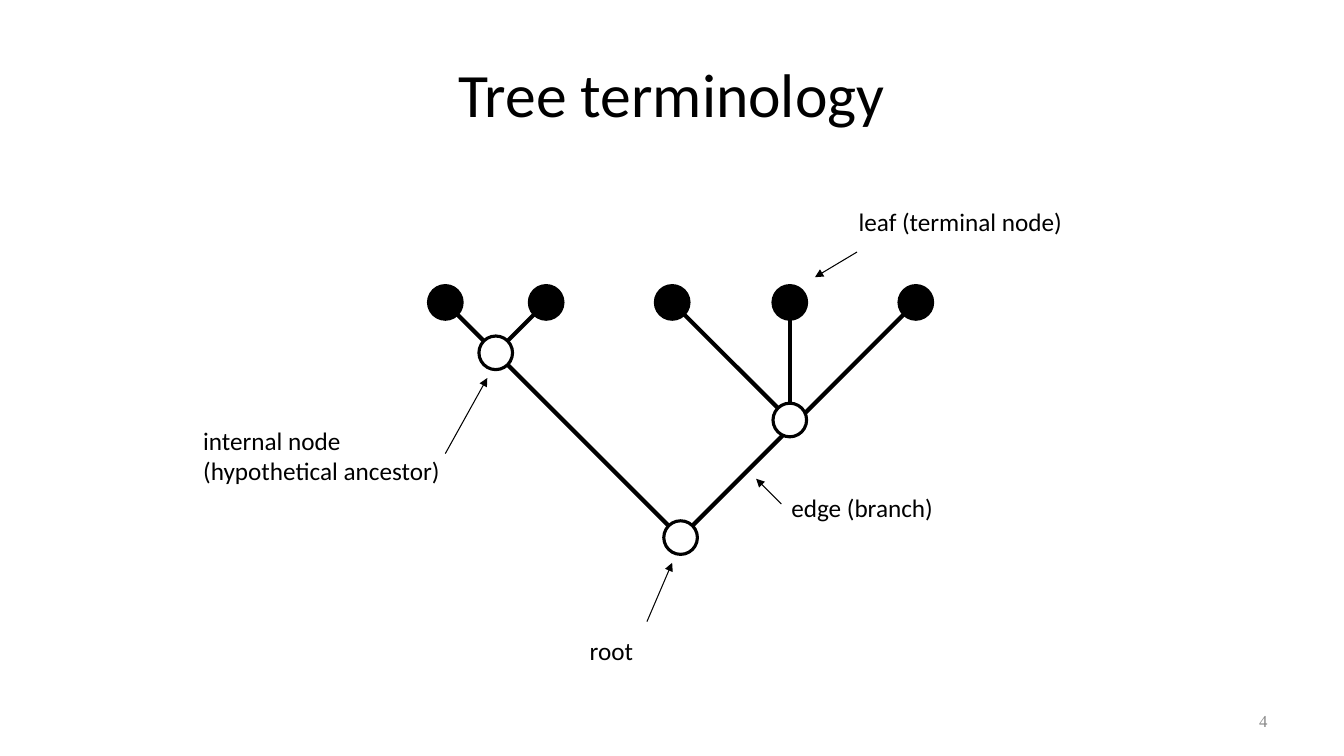
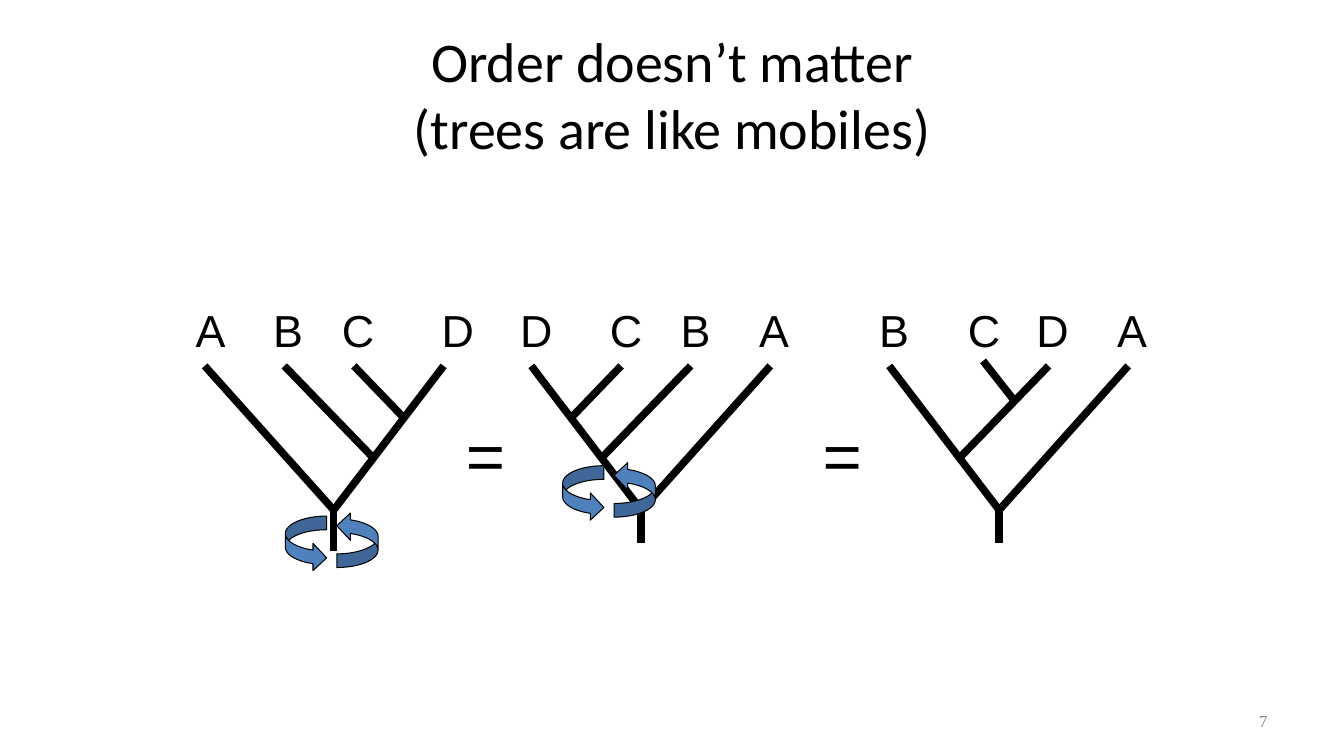
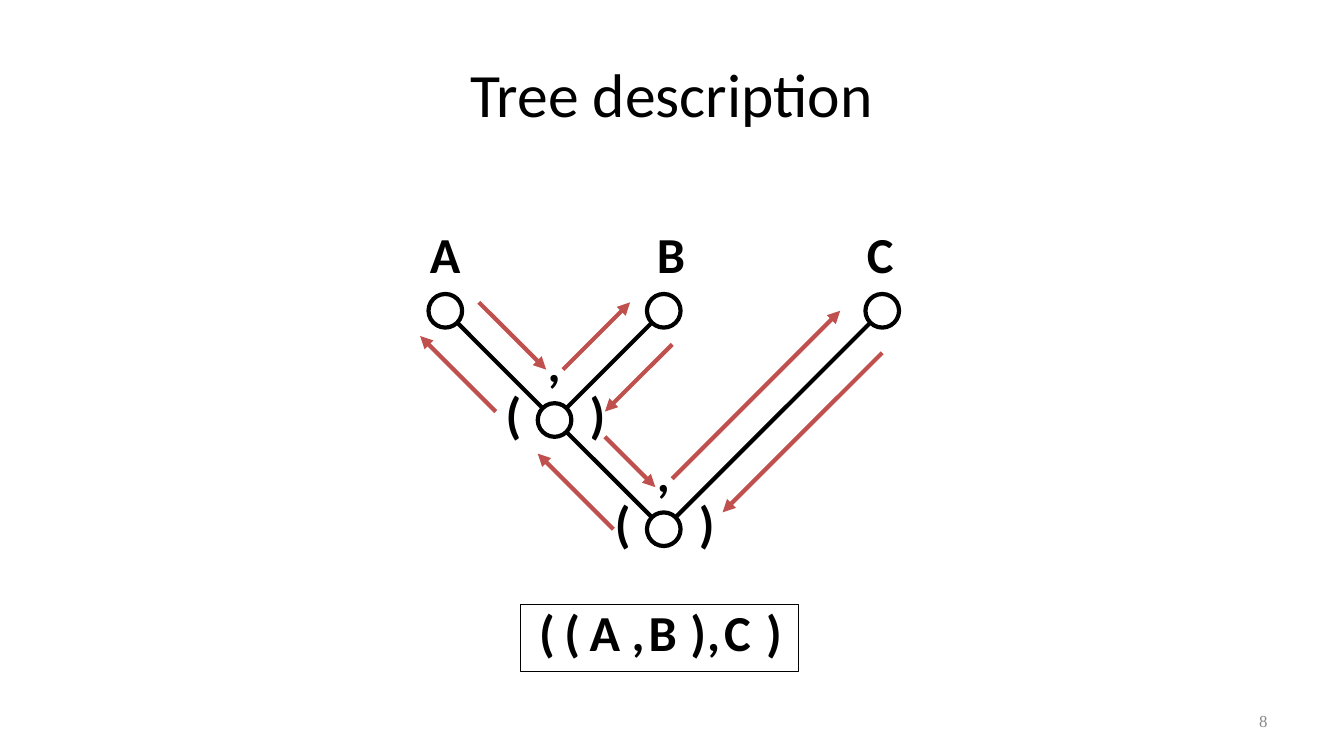
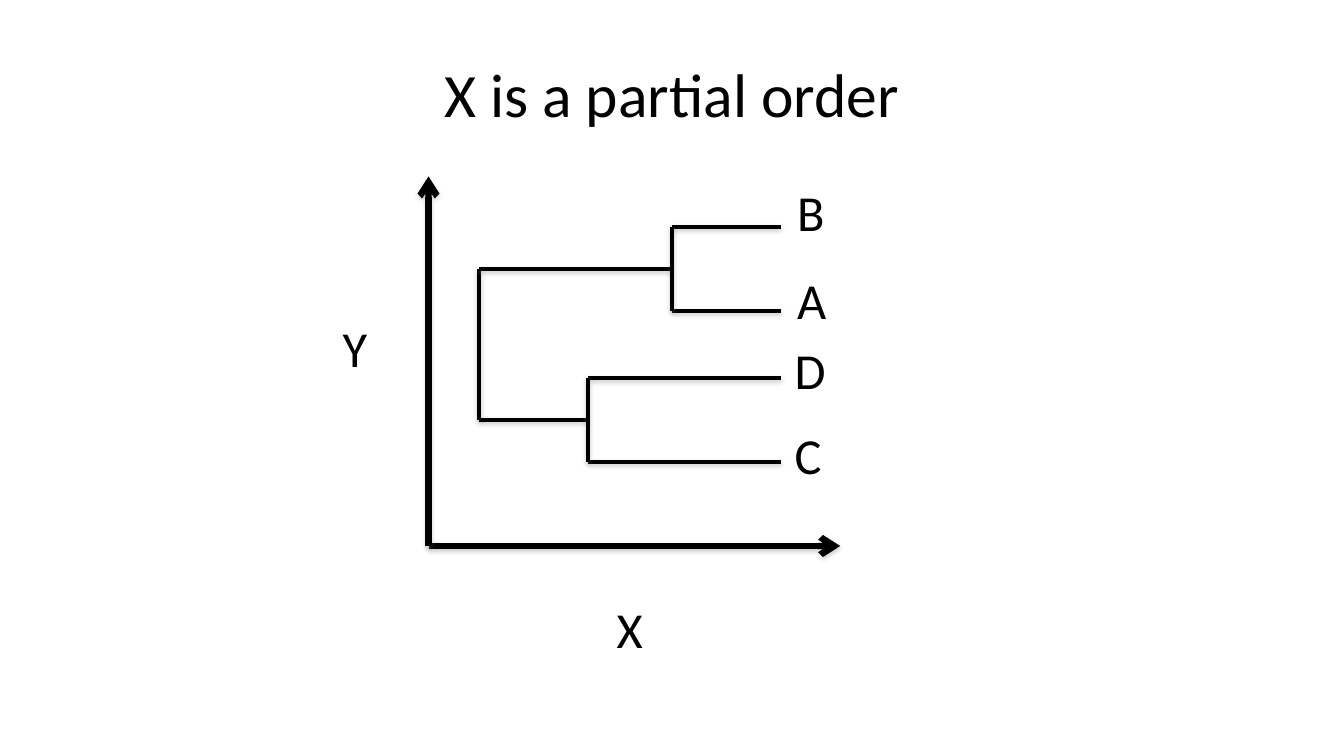
from dataclasses import dataclass

from lxml.etree import SubElement
from pptx import Presentation
from pptx.dml.color import RGBColor as Color
from pptx.enum.shapes import MSO_CONNECTOR as Connector, MSO_SHAPE as Shape
from pptx.enum.text import MSO_ANCHOR as Anchor, MSO_AUTO_SIZE as AutoSize, PP_ALIGN as Align
from pptx.oxml.ns import qn
from pptx.util import Inches, Pt


@dataclass(frozen=True)
class TextStyle:
    """Type settings of one kind of text."""
    font: str
    size: int
    color: Color
    bold: bool = False
    inset: float = 1


@dataclass(frozen=True)
class Theme:
    """Colours, type styles and line weights of the deck."""
    black = Color(0x00, 0x00, 0x00)
    white = Color(0xFF, 0xFF, 0xFF)
    red = Color(0xC0, 0x50, 0x4D)
    blue = Color(0x4F, 0x81, 0xBD)
    gray = Color(0x89, 0x89, 0x89)
    title = TextStyle("Calibri", 44, black)
    long_title = TextStyle("Calibri", 40, black)
    number = TextStyle("Times New Roman", 12, gray)
    caption = TextStyle("Calibri", 18, black)
    letter = TextStyle("Calibri", 36, black)
    symbol = TextStyle("Calibri", 36, black, bold=True)
    taxon = TextStyle("Arial", 32, black, inset=0)
    equals = TextStyle("Arial", 48, black, inset=0)
    hairline = 0.75
    outline = 2.25
    edge = 3
    axis = 4.5
    branch = 5.38


@dataclass(frozen=True)
class Grid:
    """Square grid on a slide, with its origin and cell size in inches."""
    slide: object
    left: float
    top: float
    unit: float

    def point(self, column, row):
        """Return the slide position of a grid point."""
        return Inches(self.left + column * self.unit), Inches(self.top + row * self.unit)

    def span(self, cells):
        """Return the length of a number of cells."""
        return Inches(cells * self.unit)

    def shifted(self, column, row):
        """Return a grid of the same cell size with its origin at a grid point."""
        return Grid(self.slide, self.left + column * self.unit,
                    self.top + row * self.unit, self.unit)


THEME = Theme()
WIDTH, HEIGHT = 13.33, 7.5
CELL = HEIGHT / 90
LETTER_WIDTHS = {"A": 0.5, "B": 0.48, "C": 0.47, "D": 0.51, "X": 0.47, "Y": 0.45,
                 ",": 0.33, "(": 0.37, ")": 0.37}
TAXON_WIDTHS = {"A": 0.3, "B": 0.3, "C": 0.32, "D": 0.32}


def format_text(text_frame, text, style, align=None):
    """Write text into a frame in one style."""
    text_frame.text = text
    for paragraph in text_frame.paragraphs:
        paragraph.alignment = align
        font = paragraph.font
        font.name, font.size, font.bold = style.font, Pt(style.size), style.bold
        font.color.rgb = style.color


def add_label(grid, text, at, width, style):
    """Place unwrapped text with its top left corner at a grid point."""
    lines = text.count("\n") + 1
    height = lines * style.size * 1.21 / 72 + 0.1 * style.inset
    box = grid.slide.shapes.add_textbox(*grid.point(*at), Inches(width), Inches(height))
    frame = box.text_frame
    frame.word_wrap = False
    frame.auto_size = AutoSize.SHAPE_TO_FIT_TEXT
    frame.margin_left = frame.margin_right = Inches(0.1 * style.inset)
    frame.margin_top = frame.margin_bottom = Inches(0.05 * style.inset)
    format_text(frame, text, style)


def add_letter(grid, text, at, style):
    """Place one letter or sign as wide as its glyph needs."""
    add_label(grid, text, at, LETTER_WIDTHS[text], style)


def add_line(grid, start, end, weight, color=THEME.black, arrow=None, shadow=False):
    """Draw a line between grid points, with an optional arrowhead and shadow."""
    line = grid.slide.shapes.add_connector(
        Connector.STRAIGHT, *grid.point(*start), *grid.point(*end))
    line.line.color.rgb = color
    line.line.width = Pt(weight)
    properties = line.element.spPr
    if arrow:
        SubElement(properties.find(qn("a:ln")), qn("a:tailEnd"), type=arrow)
    effects = SubElement(properties, qn("a:effectLst"))
    if shadow:
        outer = SubElement(effects, qn("a:outerShdw"), blurRad="40000", dist="20000",
                           dir="5400000", rotWithShape="0")
        tone = SubElement(outer, qn("a:srgbClr"), val="808080")
        SubElement(tone, qn("a:alpha"), val="38000")


def add_shape(grid, preset, at, size, fill, weight):
    """Place a filled preset shape with a black outline."""
    shape = grid.slide.shapes.add_shape(
        preset, *grid.point(*at), *(grid.span(cells) for cells in size))
    shape.shadow.inherit = False
    shape.fill.solid()
    shape.fill.fore_color.rgb = fill
    shape.line.color.rgb = THEME.black
    shape.line.width = Pt(weight)
    return shape


def add_node(grid, center, fill, weight):
    """Draw a round tree node about a grid point."""
    column, row = center
    add_shape(grid, Shape.OVAL, (column - 2, row - 2), (4, 4), fill, weight)


def add_slide(presentation, title, style=THEME.title, number=None):
    """Add a slide with a centred title and an optional slide number."""
    slide = presentation.slides.add_slide(presentation.slide_layouts[5])
    heading = slide.shapes.title
    heading.left, heading.top = Inches(WIDTH * 0.05), Inches(HEIGHT * 0.04)
    heading.width, heading.height = Inches(WIDTH * 0.9), Inches(HEIGHT / 6)
    heading.text_frame.vertical_anchor = Anchor.MIDDLE
    format_text(heading.text_frame, title, style, Align.CENTER)
    if number:
        box = slide.shapes.add_textbox(Inches(9.56), Inches(6.95), Inches(3.11), Inches(0.4))
        box.text_frame.word_wrap = True
        box.text_frame.vertical_anchor = Anchor.MIDDLE
        format_text(box.text_frame, number, THEME.number, Align.RIGHT)
    return slide


def draw_terminology_tree(grid):
    """Draw the tree of black leaves and white inner nodes."""
    leaves = [(column, 0) for column in (0, 12, 27, 41, 56)]
    pair, triple, root = (6, 6), (41, 14), (28, 28)
    parents = (root, pair, triple, triple, root)
    for leaf, parent in zip(leaves, parents):
        add_line(grid, leaf, parent, THEME.edge)
    for leaf in leaves:
        add_node(grid, leaf, THEME.black, THEME.outline)
    for node in (pair, triple, root):
        add_node(grid, node, THEME.white, THEME.outline)


def draw_callouts(grid):
    """Name the parts of the tree, each with a thin arrow."""
    callouts = (
        ("edge (branch)", (40, 22), 1.63, (40, 24), (37, 21)),
        ("leaf (terminal node)", (48, -12), 2.25, (49, -6), (44, -3)),
        ("internal node\n(hypothetical ancestor)", (-30, 14), 2.58, (0, 18), (5, 9)),
        ("root", (16, 39), 0.64, (24, 38), (27, 31)),
    )
    for text, at, width, start, end in callouts:
        add_label(grid, text, at, width, THEME.caption)
        add_line(grid, start, end, THEME.hairline, arrow="triangle")


def draw_mobile(grid, branches, stem, taxa):
    """Draw a tree about its fork, with the taxa named over the tips."""
    for start, end in (*branches, ((0, 0), (0, stem))):
        add_line(grid, start, end, THEME.branch)
    for taxon, column in taxa:
        add_label(grid, taxon, (column, -20.6), TAXON_WIDTHS[taxon], THEME.taxon)


def draw_rotation(grid):
    """Draw two curved arrows that turn about a branch."""
    for at, angle in (((0, 0), 0), ((5.1, -0.4), 180)):
        arrow = add_shape(grid, Shape.CURVED_RIGHT_ARROW, at, (4.1, 5.5),
                          THEME.blue, THEME.hairline)
        arrow.rotation = angle
        for index, share in enumerate((0.33, 0.66, 0.33)):
            arrow.adjustments[index] = share


def draw_equal_trees(slide):
    """Draw three equal trees with rotation arrows and equals signs."""
    first = (((0, 0), (10.9, -14.3)), ((6.9, -9.2), (2, -14.3)),
             ((4, -5.1), (-4.9, -14.3)), ((0, 0), (-12.8, -14.3)))
    second = [[(-column, row) for column, row in branch] for branch in first]
    third = (second[0], ((-1.6, -14.8), (1.7, -10.6)), second[2], second[3])
    trees = (
        (3.31, first, 4.1, (("A", -13.7), ("B", -6), ("C", 0.8), ("D", 10.7)), (-4.8, 0.6), 13.1),
        (6.36, second, 3.3, (("D", -12), ("C", -3.1), ("B", 3.9), ("A", 11.7)), (-7.8, -4.4), 18),
        (9.91, third, 3.3, (("B", -11.9), ("C", -3.1), ("D", 3.7), ("A", 11.7)), None, None),
    )
    for left, branches, stem, taxa, rotation, equals in trees:
        grid = Grid(slide, left, 5.06, 0.1)
        draw_mobile(grid, branches, stem, taxa)
        if rotation:
            draw_rotation(grid.shifted(*rotation))
            add_label(grid, "=", (equals, -9.6), 0.39, THEME.equals)


def draw_described_tree(grid):
    """Draw the tree of A, B and C with a bracket and comma at each inner node."""
    tips = [(column, 0) for column in (0, 26, 52)]
    inner, root = (13, 13), (26, 26)
    for start, end in zip((*tips, inner), (inner, inner, root, root)):
        add_line(grid, start, end, THEME.edge)
    for node in (*tips, inner, root):
        add_node(grid, node, THEME.white, THEME.edge)
    for text, column in zip("ABC", (-3, 24, 49)):
        add_letter(grid, text, (column, -11), THEME.symbol)
    for node in (inner, root):
        for text, at in ((",", (-2, -11)), (")", (3, -5)), ("(", (-7, -5))):
            add_letter(grid.shifted(*node), text, at, THEME.symbol)


def draw_walk(grid):
    """Draw the red arrows that walk round the tree."""
    steps = (
        ((20, 26), (11, 17)), ((6, 12), (-3, 3)), ((4, -1), (12, 7)), ((14, 7), (22, -1)),
        ((27, 4), (19, 12)), ((19, 15), (25, 21)), ((27, 20), (47, 0)), ((52, 5), (33, 24)),
    )
    for start, end in steps:
        add_line(grid, start, end, THEME.edge, THEME.red, "triangle")


def draw_description(grid):
    """Draw the framed bracket notation of the tree."""
    add_shape(grid, Shape.RECTANGLE, (0, 0), (33, 8), THEME.white, THEME.hairline)
    for text, column in zip("((A,B),C)", (1, 4, 7, 12, 14, 19, 21, 23, 28)):
        add_letter(grid, text, (column, -1), THEME.symbol)


def draw_axes(grid):
    """Draw the X and Y axes with their names."""
    for end in ((49, 44), (0, 0)):
        add_line(grid, (0, 44), end, THEME.axis, arrow="arrow", shadow=True)
    add_letter(grid, "X", (21.2, 49.6), THEME.letter)
    add_letter(grid, "Y", (-11.4, 16.2), THEME.letter)


def draw_dendrogram(grid):
    """Draw two square-cornered clades joined at the left."""
    root, tip = 6, 42
    clades = ((29, 6, 16), (19, 24, 34))
    middles = [(top + bottom) / 2 for _, top, bottom in clades]
    lines = [((root, middles[0]), (root, middles[1]))]
    for (column, top, bottom), middle in zip(clades, middles):
        lines += [((column, top), (tip, top)), ((column, bottom), (tip, bottom)),
                  ((root, middle), (column, middle)), ((column, top), (column, bottom))]
    for start, end in lines:
        add_line(grid, start, end, THEME.edge, shadow=True)
    for text, at in (("B", (42.7, 0)), ("A", (42.7, 10.4)),
                     ("D", (42.4, 18.8)), ("C", (42.4, 28.9))):
        add_letter(grid, text, at, THEME.letter)


def main():
    """Build and save the four slides."""
    presentation = Presentation()
    presentation.slide_width, presentation.slide_height = Inches(WIDTH), Inches(HEIGHT)

    slide = add_slide(presentation, "Tree terminology", number="4")
    page = Grid(slide, 0, 0, CELL)
    draw_terminology_tree(page.shifted(53, 36))
    draw_callouts(page.shifted(53, 36))

    slide = add_slide(presentation, "Order doesn’t matter\v(trees are like mobiles)",
                      THEME.long_title, "7")
    draw_equal_trees(slide)

    slide = add_slide(presentation, "Tree description", number="8")
    page = Grid(slide, 0, 0, CELL)
    draw_described_tree(page.shifted(53, 37))
    draw_walk(page.shifted(53, 37))
    draw_description(page.shifted(62, 72))

    slide = add_slide(presentation, "X is a partial order")
    page = Grid(slide, 0, 0, CELL)
    draw_axes(page.shifted(51, 21))
    draw_dendrogram(page.shifted(51, 21))

    presentation.save("out.pptx")


if __name__ == "__main__":
    main()
